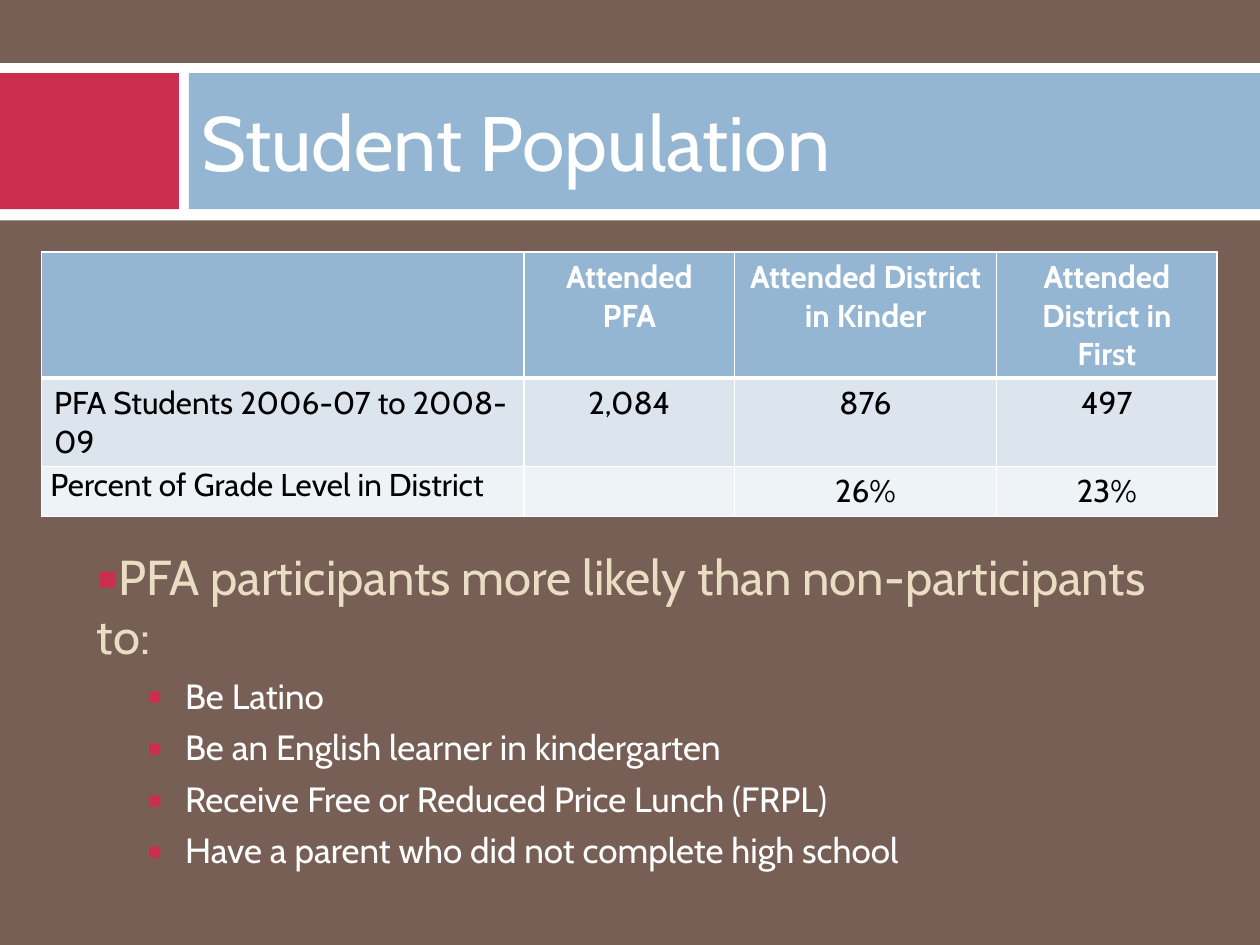
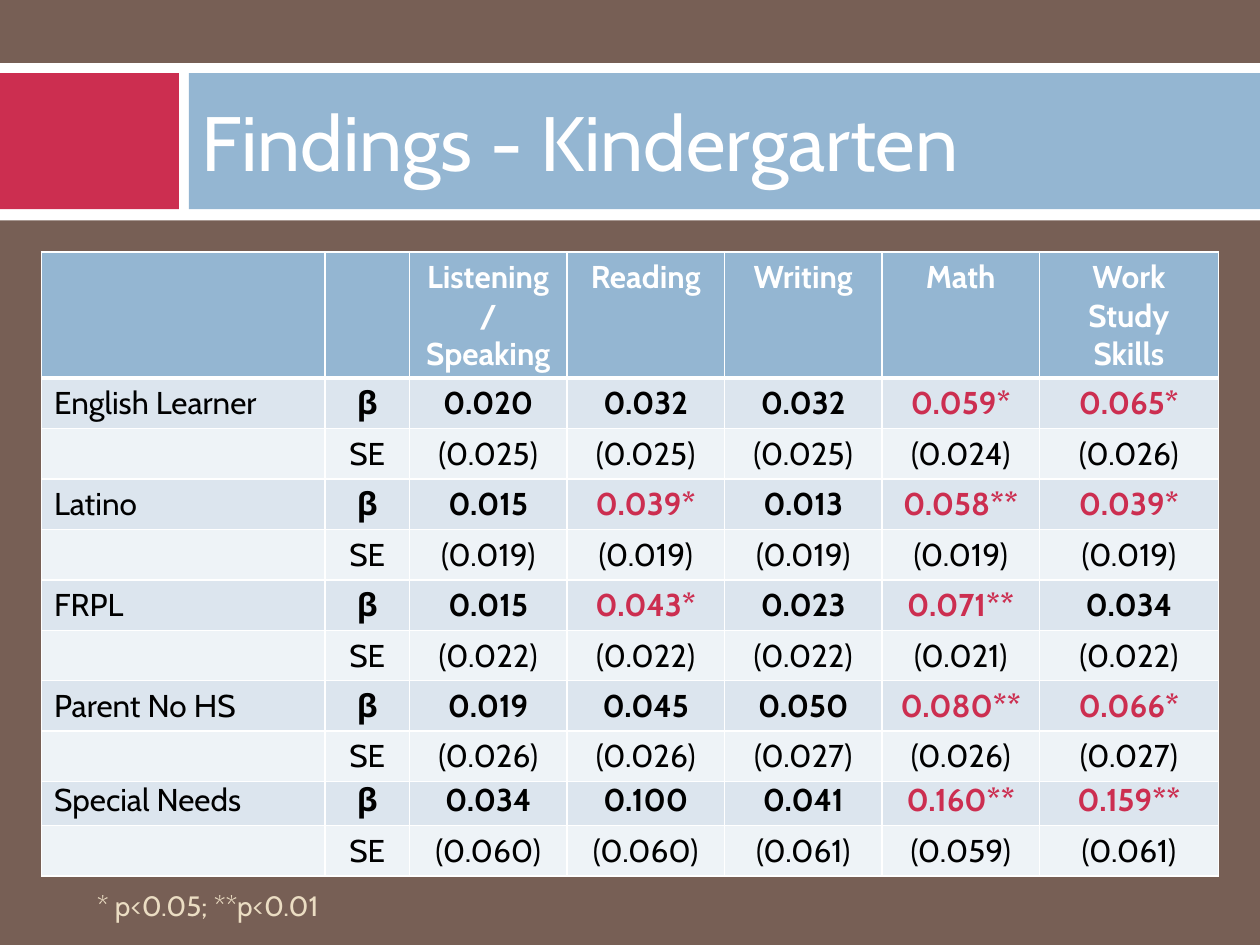
from dataclasses import dataclass

import pptx
import pptx.dml.color
import pptx.enum.shapes
import pptx.enum.text
import pptx.oxml
import pptx.oxml.ns
import pptx.util
from pptx.util import Inches

FONT = "Cabin"
BROWN, WHITE, BLACK = "775F55", "FFFFFF", "000000"
RED, BLUE, CREAM = "CC2E50", "94B6D2", "EBDDC3"
BAND_FILLS = ("DCE5EE", "EEF3F7")
CENTER = pptx.enum.text.PP_ALIGN.CENTER
MIDDLE = pptx.enum.text.MSO_ANCHOR.MIDDLE
TABLE_LEFT, ROW_HEIGHT, HEADER_HEIGHT = 0.33, 0.4, 0.7


@dataclass(frozen=True)
class Box:
    left: float
    top: float
    width: float
    height: float

    def lengths(self) -> tuple:
        return tuple(Inches(n) for n in (self.left, self.top, self.width, self.height))


@dataclass(frozen=True)
class Band:
    box: Box
    color: str


@dataclass(frozen=True)
class Line:
    text: str
    size: float
    color: str
    bullet: bool = False
    level: int = 0
    space_before: float = 0


@dataclass(frozen=True)
class Table:
    top: float
    widths: tuple
    rows: list
    header_height: float = HEADER_HEIGHT


BANDS = (
    Band(Box(0, 0.5, 10, 1.25), WHITE),
    Band(Box(0, 0.58, 1.42, 1.08), RED),
    Band(Box(1.5, 0.58, 8.5, 1.08), BLUE),
)
TITLE_BOX = Box(1.5, 0.58, 8.33, 1.08)

# Slide contents
POPULATION = Table(2, (3.83, 1.67, 2.08, 1.75), [
    ("", "Attended PFA", "Attended District in Kinder", "Attended District in First"),
    ("PFA Students 2006-07 to 2008-09", "2,084", "876", "497"),
    ("Percent of Grade Level in District", "", "26%", "23%"),
])
PARTICIPANT_TRAITS = (
    "Be Latino",
    "Be an English learner in kindergarten",
    "Receive Free or Reduced Price Lunch (FRPL)",
    "Have a parent who did not complete high school",
)
FINDING_WIDTHS = (2.25, 0.67, 1.25, 1.25, 1.25, 1.25, 1.42)
SUBJECTS = ("", "", "Listening/ Speaking", "Reading", "Writing", "Math", "Work Study Skills")
# Group, coefficients, standard errors
FINDINGS = (
    ("English Learner", "0.020 0.032 0.032 0.059* 0.065*", "0.025 0.025 0.025 0.024 0.026"),
    ("Latino", "0.015 0.039* 0.013 0.058** 0.039*", "0.019 0.019 0.019 0.019 0.019"),
    ("FRPL", "0.015 0.043* 0.023 0.071** 0.034", "0.022 0.022 0.022 0.021 0.022"),
    ("Parent No HS", "0.019 0.045 0.050 0.080** 0.066*", "0.026 0.026 0.027 0.026 0.027"),
)
SPECIAL_NEEDS = (
    ("Special Needs", "0.034 0.100 0.041 0.160** 0.159**", "0.060 0.060 0.061 0.059 0.061"),
)


def rgb(color: str) -> pptx.dml.color.RGBColor:
    return pptx.dml.color.RGBColor.from_string(color)


def apply(target, **values) -> None:
    for name, value in values.items():
        setattr(target, name, value)


def fill_solid(fill, color: str) -> None:
    fill.solid()
    fill.fore_color.rgb = rgb(color)


def add_run(paragraph, text: str, size: float, color: str, bold: bool = False) -> None:
    run = paragraph.add_run()
    run.text = text
    apply(run.font, name=FONT, size=pptx.util.Pt(size), bold=bold)
    run.font.color.rgb = rgb(color)


def set_bullet(paragraph, level: int) -> None:
    properties = paragraph._p.get_or_add_pPr()
    margin, indent = (0.7, -0.3) if level else (0, 0)
    properties.set("marL", str(Inches(margin)))
    properties.set("indent", str(Inches(indent)))
    namespace = pptx.oxml.ns.nsdecls("a")
    for xml in (
        f'<a:buClr {namespace}><a:srgbClr val="{RED}"/></a:buClr>',
        f'<a:buSzPct {namespace} val="110000"/>',
        f'<a:buFont {namespace} typeface="{FONT}"/>',
        f'<a:buChar {namespace} char="▪"/>',
    ):
        properties.append(pptx.oxml.parse_xml(xml))


def add_text(slide, box: Box, lines: list, anchor=pptx.enum.text.MSO_ANCHOR.TOP) -> None:
    frame = slide.shapes.add_textbox(*box.lengths()).text_frame
    apply(frame, word_wrap=True, vertical_anchor=anchor)
    for index, line in enumerate(lines):
        paragraph = frame.add_paragraph() if index else frame.paragraphs[0]
        apply(paragraph, level=line.level, space_before=pptx.util.Pt(line.space_before))
        if line.bullet:
            set_bullet(paragraph, line.level)
        add_run(paragraph, line.text, line.size, line.color)


def set_borders(cell, top: float, bottom: float) -> None:
    properties = cell._tc.get_or_add_tcPr()
    sides = {"lnL": 1, "lnR": 1, "lnT": top, "lnB": bottom}
    for index, (side, points) in enumerate(sides.items()):
        properties.insert(index, pptx.oxml.parse_xml(
            f'<a:{side} {pptx.oxml.ns.nsdecls("a")} w="{pptx.util.Pt(points)}">'
            f'<a:solidFill><a:srgbClr val="{WHITE}"/></a:solidFill></a:{side}>'))


def add_table(slide, table: Table):
    """Draw a blue header over banded rows; starred values are red."""
    height = table.header_height + ROW_HEIGHT * (len(table.rows) - 1)
    box = Box(TABLE_LEFT, table.top, sum(table.widths), height)
    grid = slide.shapes.add_table(len(table.rows), len(table.widths), *box.lengths()).table
    apply(grid, first_row=True, horz_banding=False)
    for column, width in zip(grid.columns, table.widths):
        column.width = Inches(width)
    for row_index, texts in enumerate(table.rows):
        header = row_index == 0
        grid.rows[row_index].height = Inches(table.header_height if header else ROW_HEIGHT)
        for column_index, text in enumerate(texts):
            cell = grid.cell(row_index, column_index)
            fill_solid(cell.fill, BLUE if header else BAND_FILLS[(row_index - 1) % 2])
            set_borders(cell, top=3 if row_index == 1 else 1, bottom=3 if header else 1)
            if not text:
                continue
            paragraph = cell.text_frame.paragraphs[0]
            if column_index:
                paragraph.alignment = CENTER
            color = WHITE if header else RED if "*" in text else BLACK
            bold = header or ("β" in texts and column_index > 0)
            add_run(paragraph, text, 18, color, bold)
    return grid


def finding_rows(findings: tuple) -> list:
    rows = []
    for group, coefficients, errors in findings:
        rows.append((group, "β", *coefficients.split()))
        rows.append(("", "SE", *(f"({error})" for error in errors.split())))
    return rows


def add_titled_slide(presentation, title: str):
    slide = presentation.slides.add_slide(presentation.slide_layouts[6])
    fill_solid(slide.background.fill, BROWN)
    for band in BANDS:
        shape = slide.shapes.add_shape(
            pptx.enum.shapes.MSO_SHAPE.RECTANGLE, *band.box.lengths())
        shape.shadow.inherit = False
        fill_solid(shape.fill, band.color)
        shape.line.fill.background()
    add_text(slide, TITLE_BOX, [Line(title, 44, WHITE)], MIDDLE)
    return slide


def build_population(presentation) -> None:
    slide = add_titled_slide(presentation, "Student Population")
    lines = [Line("PFA participants more likely than non-participants to:", 28, CREAM, True)]
    lines += [Line(trait, 20, WHITE, True, 1, 5.5) for trait in PARTICIPANT_TRAITS]
    add_text(slide, Box(0.67, 4.29, 8.62, 2.54), lines)
    grid = add_table(slide, POPULATION)
    # The percent row has tight margins and centred values
    tight = {"margin_left": Inches(0.07), "margin_right": Inches(0.07),
             "margin_top": 0, "margin_bottom": 0}
    for index, cell in enumerate(grid.rows[2].cells):
        apply(cell, **tight)
        if index:
            cell.vertical_anchor = MIDDLE


def build_findings(presentation) -> None:
    slide = add_titled_slide(presentation, "Findings - Kindergarten")
    add_text(slide, Box(0.67, 7, 8.62, 0.5), [Line("* p<0.05; **p<0.01", 16, CREAM)])
    # The main table overlaps the top of the special needs table
    blank_header = ("",) * len(SUBJECTS)
    add_table(slide, Table(5.75, FINDING_WIDTHS,
                           [blank_header, *finding_rows(SPECIAL_NEEDS)], ROW_HEIGHT))
    add_table(slide, Table(2, FINDING_WIDTHS, [SUBJECTS, *finding_rows(FINDINGS)]))


def main() -> None:
    presentation = pptx.Presentation()
    apply(presentation, slide_width=Inches(10), slide_height=Inches(7.5))
    build_population(presentation)
    build_findings(presentation)
    presentation.save("out.pptx")


if __name__ == "__main__":
    main()
